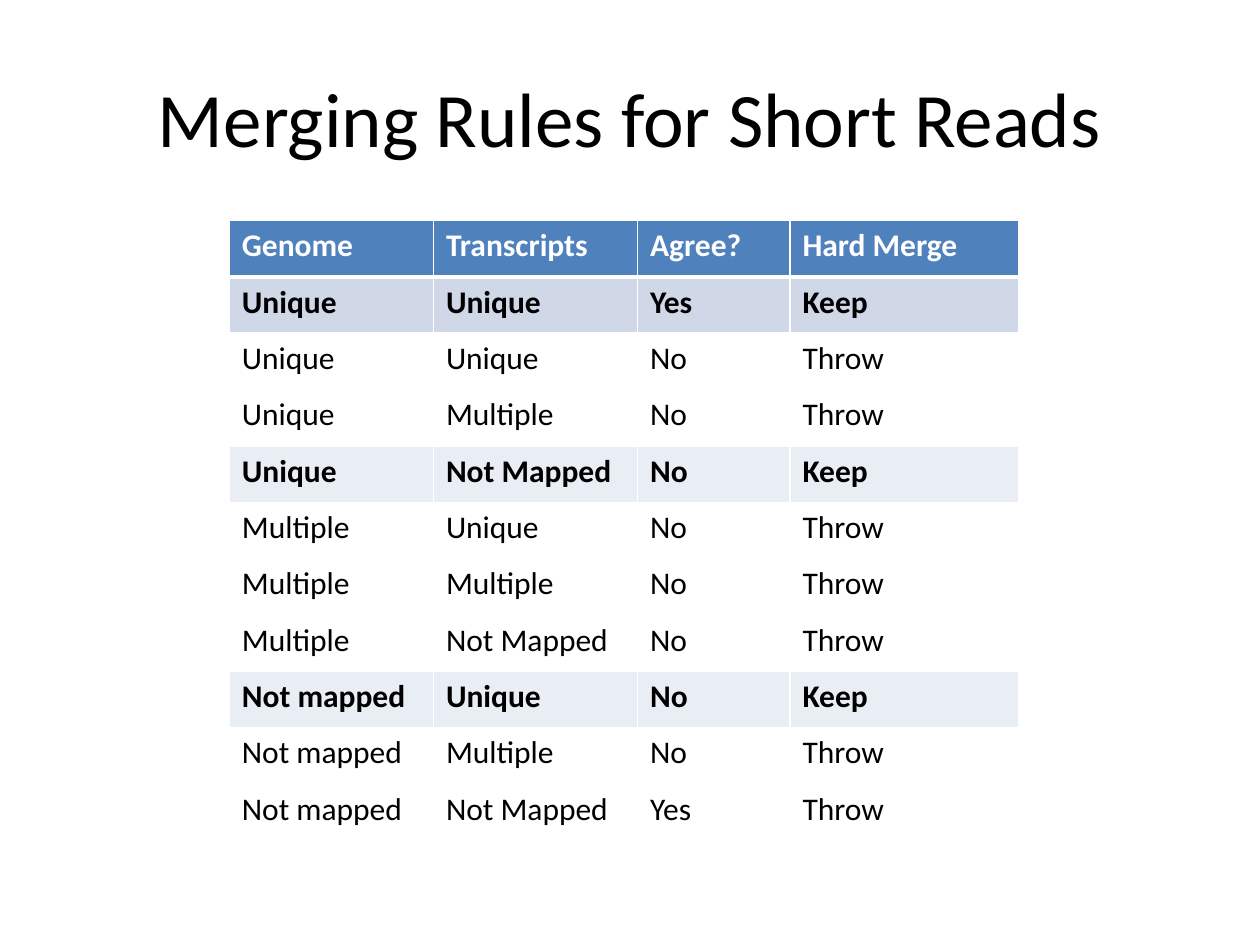
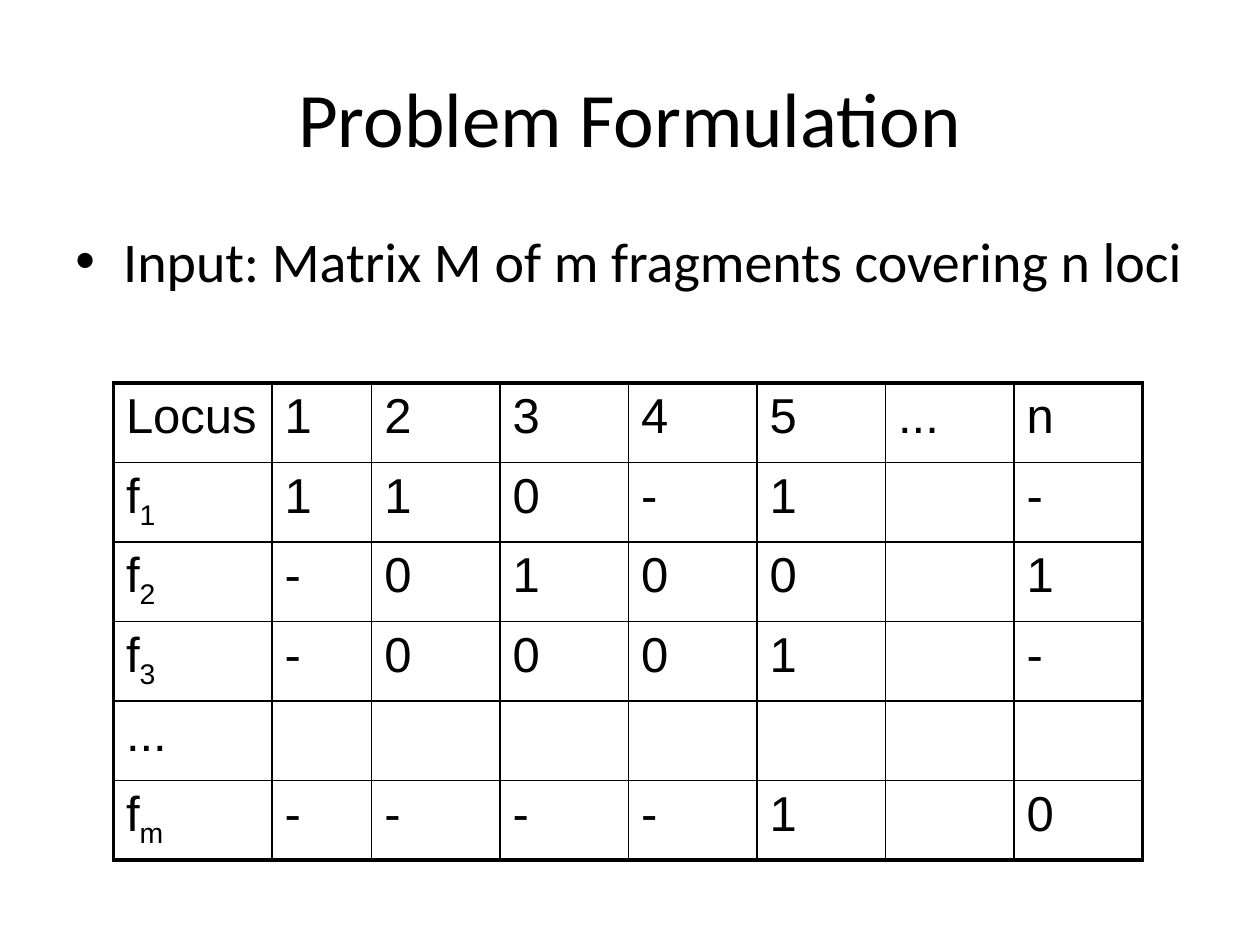
"""Build two slides: short-read merging rules and the fragment matrix problem."""
from lxml import etree
from pptx import Presentation
from pptx.dml.color import RGBColor
from pptx.enum.text import MSO_ANCHOR, PP_ALIGN
from pptx.oxml.ns import qn
from pptx.util import Inches, Pt

CENTER = PP_ALIGN.CENTER
MIDDLE = MSO_ANCHOR.MIDDLE
COLORS = {
    "text": "000000",
    "paper": "FFFFFF",
    "header": "4F81BD",
    "agreed": "D0D8E8",
    "kept": "E9EDF4",
}


def add_span(para, text, size, face="Calibri", color="text", bold=False):
    span = para.add_run()
    span.text = text
    span.font.size = Pt(size)
    span.font.name = face
    span.font.bold = bold
    span.font.color.rgb = RGBColor.from_string(COLORS[color])
    return span


def add_grid(page, left, top, widths, height, fills, line_color, across, down):
    frame = page.shapes.add_table(len(fills), len(widths), Inches(left), Inches(top),
                                  Inches(sum(widths)), Inches(height))
    grid = frame.table
    grid.first_row = False
    grid.horz_banding = False
    for column, width in zip(grid.columns, widths):
        column.width = Inches(width)
    for r, fill in enumerate(fills):
        grid.rows[r].height = Inches(height / len(fills))
        for c in range(len(widths)):
            cell = grid.cell(r, c)
            edges = {"lnL": down[c], "lnR": down[c + 1], "lnT": across[r], "lnB": across[r + 1]}
            for edge, weight in edges.items():
                line = etree.SubElement(cell._tc.get_or_add_tcPr(), qn(f"a:{edge}"), w=str(Pt(weight)))
                solid = etree.SubElement(line, qn("a:solidFill"))
                etree.SubElement(solid, qn("a:srgbClr"), val=COLORS[line_color])
            cell.fill.solid()
            cell.fill.fore_color.rgb = RGBColor.from_string(COLORS[fill])
    return grid


deck = Presentation()
deck.slide_width = Inches(10)
deck.slide_height = Inches(7.5)

pages = []
for title in ("Merging Rules for Short Reads", "Problem Formulation"):
    page = deck.slides.add_slide(deck.slide_layouts[6])
    box = page.shapes.add_textbox(Inches(0.5), Inches(0.3), Inches(9), Inches(1.25))
    box.text_frame.word_wrap = True
    box.text_frame.vertical_anchor = MIDDLE
    para = box.text_frame.paragraphs[0]
    para.alignment = CENTER
    add_span(para, title, 44)
    pages.append(page)
rules_page, problem_page = pages

merge_rules = [
    ("Genome", "Transcripts", "Agree?", "Hard Merge"),
    ("Unique", "Unique", "Yes", "Keep"),
    ("Unique", "Unique", "No", "Throw"),
    ("Unique", "Multiple", "No", "Throw"),
    ("Unique", "Not Mapped", "No", "Keep"),
    ("Multiple", "Unique", "No", "Throw"),
    ("Multiple", "Multiple", "No", "Throw"),
    ("Multiple", "Not Mapped", "No", "Throw"),
    ("Not mapped", "Unique", "No", "Keep"),
    ("Not mapped", "Multiple", "No", "Throw"),
    ("Not mapped", "Not Mapped", "Yes", "Throw"),
]
row_fills = ["header", "agreed"]
row_fills += ["kept" if rule[-1] == "Keep" else "paper" for rule in merge_rules[2:]]
grid = add_grid(rules_page, 1.82, 1.75, [1.62, 1.62, 1.21, 1.82], 4.92, row_fills,
                "paper", [1, 3] + [1] * 10, [1] * 5)
for r, rule in enumerate(merge_rules):
    for c, text in enumerate(rule):
        add_span(grid.cell(r, c).text_frame.paragraphs[0], text, 18,
                 color="paper" if r == 0 else "text", bold=row_fills[r] != "paper")

box = problem_page.shapes.add_textbox(Inches(0.5), Inches(1.75), Inches(9), Inches(1.29))
box.text_frame.word_wrap = True
para = box.text_frame.paragraphs[0]
properties = para._p.get_or_add_pPr()
properties.set("marL", str(Inches(0.38)))
properties.set("indent", str(-Inches(0.38)))
etree.SubElement(properties, qn("a:buFont"), typeface="Arial")
etree.SubElement(properties, qn("a:buChar"), char="•")
add_span(para, "Input: Matrix M of m fragments covering n loci", 32)

fragments = [
    ("Locus", "1", "2", "3", "4", "5", "...", "n"),
    ("f1", "1", "1", "0", "-", "1", "", "-"),
    ("f2", "-", "0", "1", "0", "0", "", "1"),
    ("f3", "-", "0", "0", "0", "1", "", "-"),
    ("...", "", "", "", "", "", "", ""),
    ("fm", "-", "-", "-", "-", "1", "", "0"),
]
grid = add_grid(problem_page, 0.9, 3.04, [1.26, 0.79] + [1.02] * 6, 3.78,
                ["paper"] * len(fragments), "text",
                [2.25] + [1] * 5 + [2.25], [2.25] + [1] * 7 + [2.25])
for r, fragment in enumerate(fragments):
    for c, text in enumerate(fragment):
        para = grid.cell(r, c).text_frame.paragraphs[0]
        if text.startswith("f"):
            add_span(para, "f", 28, "Arial")
            subscript = add_span(para, text[1:], 28, "Arial")
            subscript.font._element.set("baseline", "-25000")
        elif text:
            add_span(para, text, 28, "Arial")

deck.save("out.pptx")
